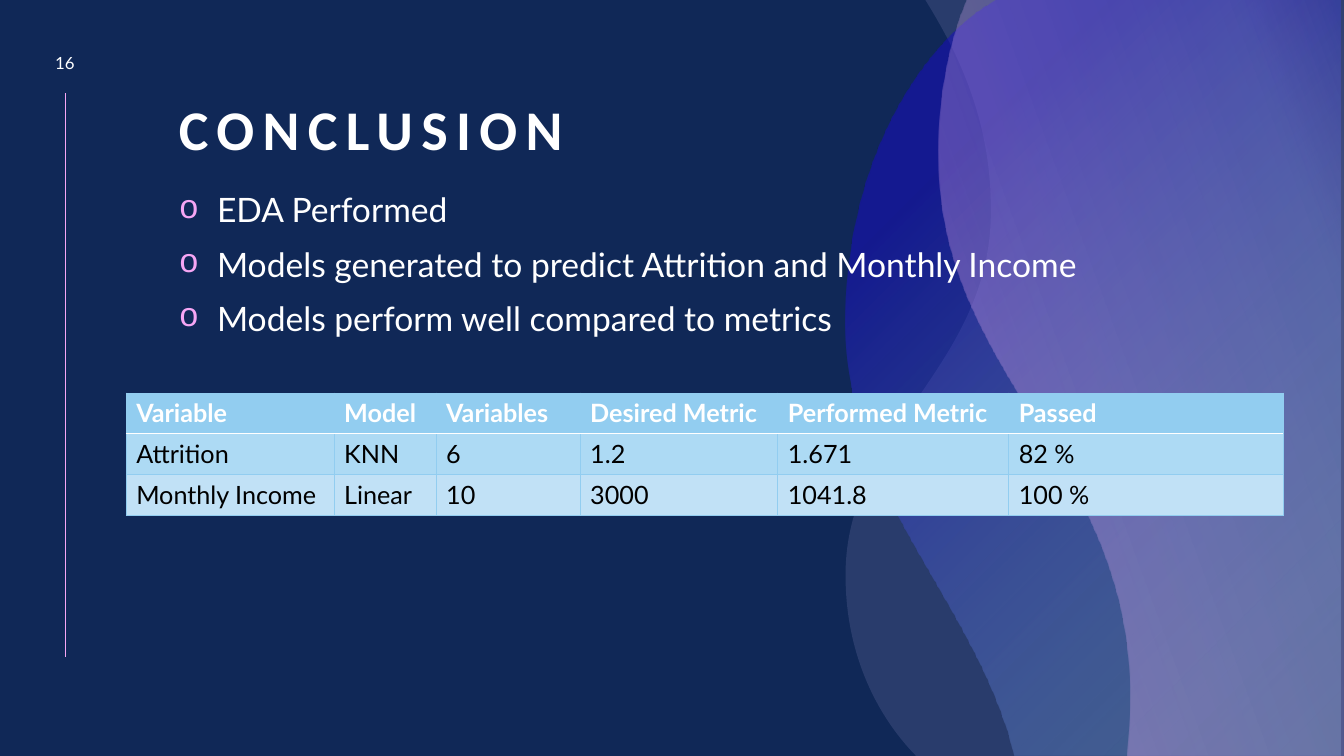
from dataclasses import dataclass
from typing import NamedTuple

import lxml.etree
import pptx
import pptx.dml.color
import pptx.enum.shapes
import pptx.enum.text
import pptx.oxml
import pptx.oxml.ns
import pptx.util

Cm = pptx.util.Cm
Pt = pptx.util.Pt
qn = pptx.oxml.ns.qn
Point = tuple[float, float]


@dataclass(frozen=True)
class Theme:
    navy: str = "102857"
    white: str = "FFFFFF"
    black: str = "000000"
    pink: str = "F6A6F4"
    lavender: str = "C3B9F2"
    sky: str = "92CDF0"
    blue: str = "180DC2"
    band_dark: str = "ADDAF4"
    band_light: str = "C1E1F6"
    heading_font: str = "Calibri"
    body_font: str = "Lato"
    bullet_font: str = "Courier New"
    title_size: float = 40
    body_size: float = 24
    table_size: float = 18
    number_size: float = 12


class Stop(NamedTuple):
    position: int
    color: str
    opacity: int


class Wave(NamedTuple):
    right: float
    start: Point
    foot: list[Point]
    curves: list[tuple[Point, Point, Point]]
    stops: list[Stop]
    direction: str = ""


class TextStyle(NamedTuple):
    size: float
    color: str
    font: str
    bold: bool = False


class Box(NamedTuple):
    left: float
    top: float
    width: float
    height: float


THEME = Theme()
WIDTH, HEIGHT = 33.87, 19.05


def rgb(color: str) -> pptx.dml.color.RGBColor:
    return pptx.dml.color.RGBColor.from_string(color)


def add_child(parent, tag: str, **attributes):
    child = lxml.etree.SubElement(parent, qn(tag))
    for key, value in attributes.items():
        child.set(key, str(value))
    return child


def add_color(parent, stop: Stop) -> None:
    color = add_child(parent, "a:srgbClr", val=stop.color)
    add_child(color, "a:alpha", val=stop.opacity * 1000)


def wave_fill(wave: Wave):
    tag = "gradFill" if wave.direction else "solidFill"
    fill = pptx.oxml.parse_xml(f'<a:{tag} {pptx.oxml.ns.nsdecls("a")}>{wave.direction}</a:{tag}>')
    if not wave.direction:
        add_color(fill, wave.stops[0])
        return fill
    stop_list = add_child(fill, "a:gsLst")
    fill.insert(0, stop_list)
    for stop in wave.stops:
        add_color(add_child(stop_list, "a:gs", pos=stop.position * 1000), stop)
    return fill


def draw_wave(slide, wave: Wave) -> None:
    straight = [(wave.right, 0), (wave.right, HEIGHT), *wave.foot]
    corners = straight + [curve[-1] for curve in wave.curves]
    builder = slide.shapes.build_freeform(Cm(wave.start[0]), Cm(wave.start[1]))
    builder.add_line_segments([(Cm(x), Cm(y)) for x, y in corners], close=True)
    shape = builder.convert_to_shape()
    # Bend the segments on the left edge
    segments = list(shape.element.iter(qn("a:lnTo")))[len(straight):]
    for segment, curve in zip(segments, wave.curves):
        bend = lxml.etree.Element(qn("a:cubicBezTo"))
        for x, y in curve:
            add_child(bend, "a:pt", x=Cm(x) - shape.left, y=Cm(y) - shape.top)
        segment.getparent().replace(segment, bend)
    shape.shadow.inherit = False
    shape.line.fill.background()
    shape.element.spPr.insert(2, wave_fill(wave))


def style_text(paragraph, style: TextStyle) -> None:
    for run in paragraph.runs:
        run.font.size = Pt(style.size)
        run.font.name = style.font
        run.font.bold = style.bold
        run.font.color.rgb = rgb(style.color)


def draw_text(slide, box: Box, text: str, style: TextStyle, anchor):
    frame = slide.shapes.add_textbox(*map(Cm, box)).text_frame
    frame.word_wrap = True
    frame.vertical_anchor = anchor
    frame.text = text
    for paragraph in frame.paragraphs:
        style_text(paragraph, style)
    return frame


def draw_border(cell, side: str, color: str, width: float) -> None:
    line = add_child(cell._tc.get_or_add_tcPr(), f"a:{side}", w=Pt(width))
    add_child(add_child(line, "a:solidFill"), "a:srgbClr", val=color)


def draw_table(slide, left: float, top: float, widths: list[float], row_height: float,
               rows: list[list[str]]) -> None:
    table = slide.shapes.add_table(len(rows), len(widths), Cm(left), Cm(top),
                                   Cm(sum(widths)), Cm(row_height * len(rows))).table
    for column, width in zip(table.columns, widths):
        column.width = Cm(width)
    fills = [THEME.sky, THEME.band_dark, THEME.band_light]
    for r, row in enumerate(rows):
        table.rows[r].height = Cm(row_height)
        style = TextStyle(THEME.table_size, THEME.black if r else THEME.white,
                          THEME.body_font, r == 0)
        white_edge = {0: "lnB", 1: "lnT"}.get(r)
        for c, value in enumerate(row):
            cell = table.cell(r, c)
            cell.text = value
            style_text(cell.text_frame.paragraphs[0], style)
            for side in ("lnL", "lnR", "lnT", "lnB"):
                color, width = (THEME.white, 1) if side == white_edge else (THEME.sky, 0.5)
                draw_border(cell, side, color, width)
            cell.fill.solid()
            cell.fill.fore_color.rgb = rgb(fills[r])


presentation = pptx.Presentation()
presentation.slide_width, presentation.slide_height = Cm(WIDTH), Cm(HEIGHT)
slide = presentation.slides.add_slide(presentation.slide_layouts[6])
slide.background.fill.solid()
slide.background.fill.fore_color.rgb = rgb(THEME.navy)

# Margin rule
margin_rule = slide.shapes.add_connector(
    pptx.enum.shapes.MSO_CONNECTOR.STRAIGHT, Cm(1.65), Cm(2.35), Cm(1.65), Cm(16.56))
margin_rule.line.color.rgb = rgb(THEME.pink)
margin_rule.line.width = Pt(0.5)
add_child(margin_rule.element.spPr, "a:effectLst")

# Overlapping waves, back to front
FROM_CORNER = '<a:path path="circle"><a:fillToRect l="100000" t="100000"/></a:path>'
RISING = '<a:lin ang="20400000" scaled="0"/>'
waves = [
    Wave(WIDTH, (23.32, 0), [(23.09, HEIGHT), (23.06, 19.02)],
         [((22.1, 18.03), (21.29, 16.46), (21.31, 14.43)),
          ((21.34, 10.85), (24.89, 9.3), (24.97, 5.46)),
          ((25.02, 3.07), (24.13, 1.32), (23.37, 0.08))],
         [Stop(0, THEME.lavender, 14)]),
    Wave(33.78, (25.1, 0), [(25.55, HEIGHT), (25.43, 18.57)],
         [((24.28, 14.81), (21.34, 12.5), (21.31, 8.18)),
          ((21.29, 4.19), (23.09, 1.4), (24.71, 0.25))],
         [Stop(4, THEME.sky, 24), Stop(79, THEME.blue, 52)], FROM_CORNER),
    Wave(WIDTH, (24.36, 0), [(28.4, HEIGHT), (28.45, 18.31)],
         [((28.47, 17.98), (28.47, 17.63), (28.47, 17.3)),
          ((28.37, 11.63), (23.67, 9.35), (23.65, 4.04)),
          ((23.62, 2.69), (23.83, 1.5), (24.18, 0.46))],
         [Stop(1, THEME.pink, 38), Stop(84, THEME.lavender, 20), Stop(100, THEME.pink, 3)],
         RISING),
]
for wave in waves:
    draw_wave(slide, wave)

# Title and slide number
Anchor = pptx.enum.text.MSO_ANCHOR
title = draw_text(slide, Box(4.26, 1.26, 24.66, 2.97), "CONCLUSION",
                  TextStyle(THEME.title_size, THEME.white, THEME.heading_font, True),
                  Anchor.BOTTOM).paragraphs[0]
title.line_spacing = 0.9
title.runs[0].font._element.set("spc", "600")
number = draw_text(slide, Box(0.91, 1.16, 1.45, 0.86), "16",
                   TextStyle(THEME.number_size, THEME.white, THEME.body_font), Anchor.MIDDLE)
number.paragraphs[0].alignment = pptx.enum.text.PP_ALIGN.CENTER

# Findings
findings = ["EDA Performed", "Models generated to predict Attrition and Monthly Income",
            "Models perform well compared to metrics"]
finding_list = draw_text(slide, Box(4.26, 4.64, 28.04, 4.5), "\n".join(findings),
                         TextStyle(THEME.body_size, THEME.white, THEME.body_font), Anchor.TOP)
for finding in finding_list.paragraphs:
    finding.space_before = Pt(10)
    properties = finding._p.get_or_add_pPr()
    properties.set("marL", str(Cm(0.96)))
    properties.set("indent", str(-Cm(0.96)))
    add_child(add_child(properties, "a:buClr"), "a:srgbClr", val=THEME.pink)
    add_child(properties, "a:buFont", typeface=THEME.bullet_font)
    add_child(properties, "a:buChar", char="o")

# Model results
draw_table(slide, 3.18, 9.9, [5.24, 2.57, 3.63, 4.98, 5.82, 6.91], 1.03, [
    ["Variable", "Model", "Variables", "Desired Metric", "Performed Metric", "Passed"],
    ["Attrition", "KNN", "6", "1.2", "1.671", "82 %"],
    ["Monthly Income", "Linear", "10", "3000", "1041.8", "100 %"],
])

presentation.save("out.pptx")
